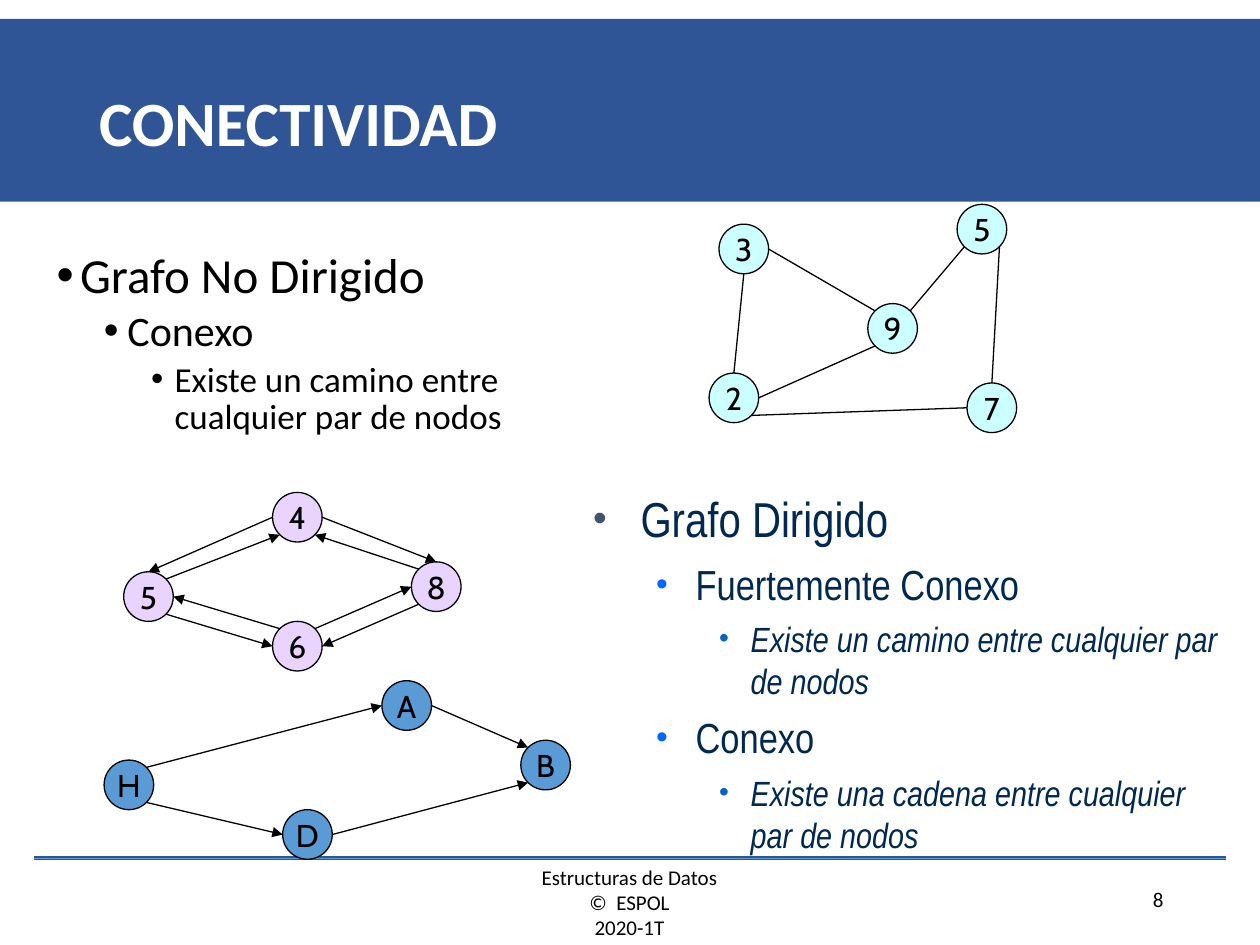
import math
from lxml import etree
from pptx import Presentation
from pptx import util as u
from pptx.dml.color import RGBColor
from pptx.enum import shapes, text
from pptx.oxml import ns

Pt = u.Pt
NODE = 28.35       # node diameter
STEP = NODE / 5    # grid step for node positions
BLACK, NAVY, BLUE = "000000", "002850", "2F5597"
LEFT, CENTER, RIGHT = text.PP_ALIGN.LEFT, text.PP_ALIGN.CENTER, text.PP_ALIGN.RIGHT
TOP, MIDDLE = text.MSO_ANCHOR.TOP, text.MSO_ANCHOR.MIDDLE


def color(hex_value):
    return RGBColor.from_string(hex_value)


def add_xml(parent, tag, **attributes):
    return etree.SubElement(parent, ns.qn(tag), attributes)


def write(paragraph, words, size=18, font="Calibri", ink=BLACK, bold=False,
          italic=False, align=LEFT, before=0, line_spacing=None):
    paragraph.alignment = align
    paragraph.space_before = Pt(before)
    if line_spacing:
        paragraph.line_spacing = line_spacing
    run = paragraph.add_run()
    run.text = words
    run.font.size, run.font.name = Pt(size), font
    run.font.bold, run.font.italic = bold, italic
    run.font.color.rgb = color(ink)


def bullet(paragraph, indent, hang, ink, percent):
    props = paragraph._p.get_or_add_pPr()
    props.set("marL", str(Pt(indent)))
    props.set("indent", str(-Pt(hang)))
    add_xml(add_xml(props, "a:buClr"), "a:srgbClr", val=ink)
    add_xml(props, "a:buSzPct", val=str(percent * 1000))
    add_xml(props, "a:buFont", typeface="Arial")
    add_xml(props, "a:buChar", char="•")


def text_frame(slide, box, anchor=TOP):
    frame = slide.shapes.add_textbox(*map(Pt, box)).text_frame
    frame.word_wrap = True
    frame.vertical_anchor = anchor
    return frame


def paragraphs(frame, count):
    return [frame.paragraphs[0]] + [frame.add_paragraph() for _ in range(count - 1)]


def add_line(slide, start, end, ink=BLACK, width=0.75, arrow=False):
    line = slide.shapes.add_connector(
        shapes.MSO_CONNECTOR.STRAIGHT, *map(Pt, (*start, *end)))
    line.line.color.rgb = color(ink)
    line.line.width = Pt(width)
    if arrow:
        add_xml(line.line._get_or_add_ln(), "a:tailEnd", type="triangle")
    add_xml(line._element.spPr, "a:effectLst")


def header(slide, box, title):
    left, top, width, height = box
    band = slide.shapes.add_shape(shapes.MSO_SHAPE.RECTANGLE, *map(Pt, box))
    band.shadow.inherit = False
    band.fill.solid()
    band.fill.fore_color.rgb = color(BLUE)
    band.line.fill.background()
    frame = text_frame(slide, (left + 49.5, top + 18, width - 98.5, height - 18), MIDDLE)
    write(frame.paragraphs[0], title, size=36, ink="FFFFFF", bold=True, line_spacing=0.9)


def footer(slide, box, credit, number):
    left, top, width, height = box
    for ink, thickness in ((BLUE, 2.25), ("5B9BD5", 0.5)):
        add_line(slide, (left, top), (left + width, top), ink, thickness)
    frame = text_frame(slide, (left + 214.5, top, 251.5, height))
    for paragraph, words in zip(paragraphs(frame, len(credit)), credit):
        write(paragraph, words, size=12, align=CENTER)
    frame = text_frame(slide, (left + 499, top + 12.5, 153.5, 22))
    write(frame.paragraphs[0], number, size=12, align=RIGHT)


def outline(slide, box, levels, items):
    """Bulleted list; each level holds its bullet and its text format."""
    frame = text_frame(slide, box)
    for i, (paragraph, (level, words)) in enumerate(zip(paragraphs(frame, len(items)), items)):
        marks, look = levels[level]
        paragraph.level = level
        write(paragraph, words, **{**look, "before": look["before"] if i else 0})
        bullet(paragraph, *marks)


def rim_point(center, site):
    """Point on a node's rim; sites run counterclockwise from the top by 45 degrees."""
    angle = math.radians(45 * site)
    return (center[0] - NODE / 2 * math.sin(angle),
            center[1] - NODE / 2 * math.cos(angle))


def graph(slide, origin, fill, nodes, edges, directed):
    """Nodes sit on a grid; an edge is (node, site, node, site)."""
    centers = {}
    for name, (column, row) in nodes.items():
        left, top = origin[0] + column * STEP, origin[1] + row * STEP
        centers[name] = (left + NODE / 2, top + NODE / 2)
        node = slide.shapes.add_shape(
            shapes.MSO_SHAPE.OVAL, *map(Pt, (left, top, NODE, NODE)))
        node.shadow.inherit = False
        node.fill.solid()
        node.fill.fore_color.rgb = color(fill)
        node.line.color.rgb = color(BLACK)
        node.line.width = Pt(0.75)
        node.text_frame.word_wrap = False
        node.text_frame.vertical_anchor = MIDDLE
        write(node.text_frame.paragraphs[0], name, font="Cabin", align=CENTER)
    for source, leaving, target, entering in edges:
        add_line(slide, rim_point(centers[source], leaving),
                 rim_point(centers[target], entering), arrow=directed)


def main():
    deck = Presentation()
    deck.slide_width, deck.slide_height = Pt(720), Pt(540)
    slide = deck.slides.add_slide(deck.slide_layouts[6])

    footer(slide, (19.5, 490.3, 681, 50.5),
           ("Estructuras de Datos", "©  ESPOL", "2020-1T"), "8")
    header(slide, (0, 10.8, 720, 104.4), "CONECTIVIDAD")

    # Undirected graphs
    plain = [((indent, 13.5, BLACK, 100), dict(size=size, before=before, line_spacing=0.9))
             for indent, size, before in ((13.5, 28, 7.5), (40.5, 24, 3.7), (67.5, 20, 3.7))]
    outline(slide, (25.2, 139.7, 334.8, 130.3), plain, [
        (0, "Grafo No Dirigido"),
        (1, "Conexo"),
        (2, "Existe un camino entre cualquier par de nodos")])

    # Directed graphs
    narrow = [((indent, hang, ink, 80),
               dict(size=size, before=before, font="Arial Narrow", ink=NAVY, italic=italic))
              for indent, hang, ink, size, before, italic in (
                  (27, 27, "44546A", 28, 7, False),
                  (58.5, 22.5, "0066FF", 24, 6, False),
                  (90, 18, "0563C1", 20, 5, True))]
    outline(slide, (331.9, 275.8, 380.2, 215.3), narrow, [
        (0, "Grafo Dirigido"),
        (1, "Fuertemente Conexo"),
        (2, "Existe un camino entre cualquier par de nodos"),
        (1, "Conexo"),
        (2, "Existe una cadena entre cualquier par de nodos")])

    # Connected undirected example
    graph(slide, (405.2, 116.8), "CCFFFF",
          {"3": (1, 2), "9": (16, 10), "5": (25, 0), "7": (26, 18), "2": (0, 17)},
          [("3", 4, "2", 0), ("3", 6, "9", 1), ("2", 6, "9", 3),
           ("9", 7, "5", 3), ("2", 5, "7", 2), ("7", 0, "5", 5)], directed=False)

    # Strongly connected example
    graph(slide, (70.7, 281.4), "E9D3FF",
          {"4": (15, 0), "5": (0, 8), "6": (15, 13), "8": (28.5 + 0.5, 7)},
          [("4", 2, "5", 0), ("5", 5, "6", 2), ("8", 3, "6", 6), ("4", 6, "8", 0),
           ("5", 7, "4", 3), ("8", 1, "4", 5), ("6", 1, "5", 6), ("6", 7, "8", 2)],
          directed=True)

    # Connected directed example
    graph(slide, (59.5, 389), "5B9BD5",
          {"H": (0, 8), "A": (28, 0), "B": (42, 6), "D": (18, 13)},
          [("H", 7, "A", 2), ("A", 6, "B", 1), ("H", 5, "D", 2), ("D", 6, "B", 3)],
          directed=True)

    deck.save("out.pptx")


if __name__ == "__main__":
    main()
